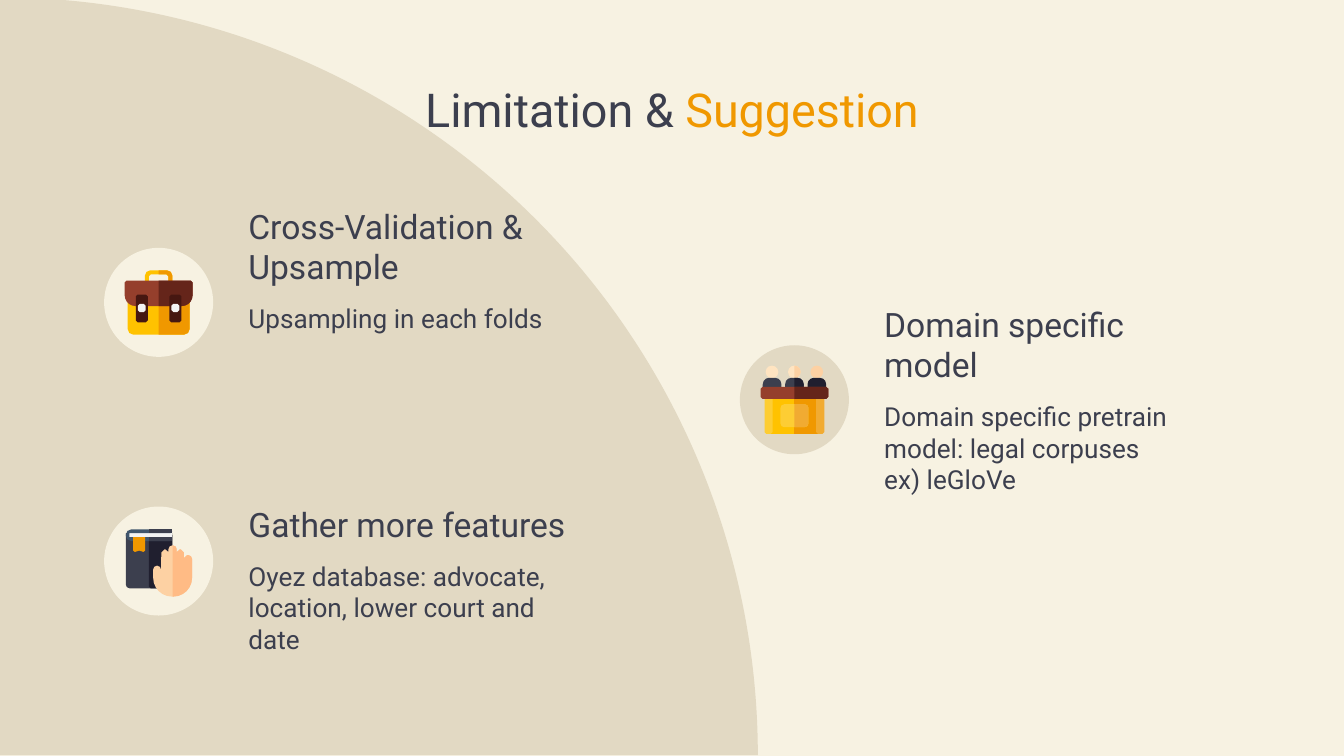
"""Build the Limitation & Suggestion slide."""
from math import dist
from typing import NamedTuple

from pptx import Presentation
from pptx.dml.color import RGBColor
from pptx.enum.shapes import MSO_SHAPE
from pptx.enum.text import MSO_ANCHOR, PP_ALIGN
from pptx.util import Pt

CREAM = RGBColor(0xF7, 0xF2, 0xE2)
SAND = RGBColor(0xE2, 0xD9, 0xC3)
SLATE = RGBColor(0x3C, 0x3F, 0x4E)
INK = RGBColor(0x20, 0x1F, 0x2F)
STEEL = RGBColor(0x40, 0x56, 0x6D)
GOLD = RGBColor(0xFF, 0xC2, 0x00)
AMBER = RGBColor(0xF0, 0x98, 0x00)
LEMON = RGBColor(0xFD, 0xCD, 0x34)
HONEY = RGBColor(0xF1, 0xAB, 0x32)
BRICK = RGBColor(0x95, 0x3F, 0x2C)
RUST = RGBColor(0x65, 0x25, 0x1A)
COCOA = RGBColor(0x46, 0x17, 0x11)
WHITE = RGBColor(0xF3, 0xF3, 0xF3)
PALE = RGBColor(0xFF, 0xE4, 0xC1)
PEACH = RGBColor(0xFD, 0xD1, 0xA3)
TAN = RGBColor(0xFF, 0xBB, 0x85)
FONT = "Roboto"
DISC = 58.4


class Knot(NamedTuple):
    x: float
    y: float
    r: float = 0


class Part(NamedTuple):
    color: RGBColor
    knots: list[Knot]


class Topic(NamedTuple):
    x: float
    y: float
    wide: float
    head: str
    lines: list[str]
    disc: RGBColor
    mid: float
    icon: list[Part]


def box(x: float, y: float, w: float, h: float, top: float = 0, low: float = 0) -> list[Knot]:
    return [Knot(x, y, top), Knot(x + w, y, top), Knot(x + w, y + h, low), Knot(x, y + h, low)]


def shift(knots: list[Knot], dx: float) -> list[Knot]:
    return [Knot(k.x + dx, k.y, k.r) for k in knots]


def half(chain: list[Knot]) -> list[Knot]:
    return [Knot(0, chain[0].y), *chain, Knot(0, chain[-1].y)]


def pair(left: RGBColor, right: RGBColor, chain: list[Knot]) -> list[Part]:
    twin = [Knot(-k.x, k.y, k.r) for k in reversed(chain)]
    return [Part(left, chain + twin), Part(right, half(chain))]


def side(x: float, y: float, h: float, top: float = 0, low: float = 0) -> list[Knot]:
    return [Knot(x, y, top), Knot(x, y + h, low)]


def case() -> list[Part]:
    grip = [Knot(7.4, -17.2, 3), Knot(7.4, -9.3), Knot(5.2, -9.3), Knot(5.2, -15, 1)]
    parts = pair(GOLD, AMBER, side(16.6, -2, 19.3, 0, 3))
    parts += pair(GOLD, AMBER, grip)
    parts += pair(BRICK, RUST, side(18.2, -11.7, 13.7, 1, 5.8))
    for x in (9, -9):
        parts.append(Part(COCOA, box(x - 3.2, -4.2, 6.4, 14.9, 1, 1)))
        parts.append(Part(WHITE, box(x - 2.1, 0.8, 4.2, 4.4, 1, 1)))
    return parts


def book() -> list[Part]:
    band = [Knot(-17.6, -17, 3), Knot(7.3, -17, 1), Knot(7.3, -14.9, 1),
            Knot(-15.6, -14.9), Knot(-15.6, -12.8), Knot(7.3, -12.8, 1),
            Knot(7.3, -10.7, 1), Knot(-17.6, -10.7, 3)]
    mark = [Knot(-13.7, -12.8), Knot(-7.2, -12.8), Knot(-7.2, -4.6, 1),
            Knot(-10.4, -5.6), Knot(-13.7, -4.6, 1)]
    right = [Knot(2.2, -8.4, 2), Knot(2.2, -4.7), Knot(2.4, -6.3, 1.5), Knot(6, -6.3, 1.7),
             Knot(6, -1.5), Knot(6.2, -3.2, 1.6), Knot(10.4, -3.2, 2), Knot(10.4, 19, 10)]
    left = [Knot(-10.4, 19, 10), Knot(-10.4, 2.5, 2), Knot(-6.2, 2.5, 2), Knot(-6.2, 4.8),
            Knot(-6, -6.3, 1.7), Knot(-2.4, -6.3, 1.5), Knot(-2.2, -4.7), Knot(-2.2, -8.4, 2)]
    return [
        Part(SLATE, box(-17.6, -15, 24.9, 29.6, 0, 2)),
        Part(INK, box(-5.3, -14, 12.6, 28.6, 0, 1)),
        Part(PEACH, shift(right + left, 7.5)),
        Part(TAN, shift(half(right), 7.5)),
        Part(WHITE, box(-17, -16.3, 24.3, 4.5)),
        Part(STEEL, band),
        Part(SLATE, box(-5.3, -17, 12.6, 2.1)),
        Part(SLATE, box(-5.3, -12.8, 12.6, 2.1)),
        Part(AMBER, mark),
    ]


def court() -> list[Part]:
    parts = pair(GOLD, AMBER, side(14.2, -2.6, 20.9))
    for x, skin, suit in ((-12, PALE, SLATE), (12, PEACH, INK)):
        parts.append(Part(skin, box(x - 3.4, -18.3, 6.8, 6.8, 3.4, 3.4)))
        parts.append(Part(suit, box(x - 5, -11.8, 10, 6.9, 3.5)))
    parts += pair(PALE, PEACH, side(3.4, -18.3, 6.8, 3.4, 3.4))
    parts += pair(SLATE, INK, side(5, -11.8, 6.9, 3.5))
    parts += pair(LEMON, HONEY, side(7.5, 2.4, 12.3, 2, 2))
    parts.append(Part(LEMON, box(-16, -0.5, 4.3, 18.8, 0, 1)))
    parts.append(Part(HONEY, box(11.7, -0.5, 4.3, 18.8, 0, 1)))
    return parts + pair(BRICK, RUST, side(18.1, -6.9, 6.4, 1, 1))


def paint(shape, color: RGBColor) -> None:
    shape.shadow.inherit = False
    shape.fill.solid()
    shape.fill.fore_color.rgb = color
    shape.line.fill.background()


def toward(a: Knot, b: Knot) -> tuple[float, float]:
    t = a.r / dist(a[:2], b[:2])
    return a.x + (b.x - a.x) * t, a.y + (b.y - a.y) * t


def trace(knots: list[Knot]) -> list[tuple[float, float]]:
    dots = []
    for i, k in enumerate(knots):
        if not k.r:
            dots.append((k.x, k.y))
            continue
        a, d = toward(k, knots[i - 1]), toward(k, knots[(i + 1) % len(knots)])
        b, c = [(p[0] + (k.x - p[0]) * 0.55, p[1] + (k.y - p[1]) * 0.55) for p in (a, d)]
        steps = min(6, round(k.r * 0.8))
        for n in range(steps + 1):
            t = n / steps
            mix = ((1 - t) ** 3, 3 * t * (1 - t) ** 2, 3 * t * t * (1 - t), t ** 3)
            dots.append(tuple(sum(m * p[j] for m, p in zip(mix, (a, b, c, d))) for j in (0, 1)))
    return dots


def draw(shapes, part: Part, x: float, y: float) -> None:
    dots = [(Pt(x + u), Pt(y + v)) for u, v in trace(part.knots)]
    pen = shapes.build_freeform(*dots[0])
    pen.add_line_segments(dots[1:])
    paint(pen.convert_to_shape(), part.color)


def write(shapes, x: float, y: float, w: float, h: float, lines: list[str],
          size: float, anchor=MSO_ANCHOR.TOP):
    frame = shapes.add_textbox(Pt(x), Pt(y), Pt(w), Pt(h)).text_frame
    frame.word_wrap = True
    frame.vertical_anchor = anchor
    frame.margin_left = frame.margin_right = frame.margin_top = frame.margin_bottom = Pt(7.2)
    for i, line in enumerate(lines):
        para = frame.add_paragraph() if i else frame.paragraphs[0]
        para.add_run().text = line
        para.font.name, para.font.size = FONT, Pt(size)
        para.font.color.rgb = SLATE
    return frame


def show(shapes, topic: Topic) -> None:
    write(shapes, topic.x, topic.y, topic.wide, 41.8, [topic.head], 18, MSO_ANCHOR.BOTTOM)
    write(shapes, topic.x, topic.y + 36, 195, 58, topic.lines, 14)
    x = topic.x - 41
    disc = shapes.add_shape(MSO_SHAPE.OVAL, Pt(x - DISC / 2), Pt(topic.mid - DISC / 2),
                            Pt(DISC), Pt(DISC))
    paint(disc, topic.disc)
    for part in topic.icon:
        draw(shapes, part, x, topic.mid)


def main() -> None:
    deck = Presentation()
    deck.slide_width, deck.slide_height = Pt(720), Pt(405)
    slide = deck.slides.add_slide(deck.slide_layouts[6])
    slide.background.fill.solid()
    slide.background.fill.fore_color.rgb = CREAM
    shapes = slide.shapes
    pie = shapes.add_shape(MSO_SHAPE.PIE, Pt(-406), Pt(-1.4), Pt(812), Pt(812))
    pie.adjustments[0], pie.adjustments[1] = 162, 0
    paint(pie, SAND)

    title = write(shapes, 93.6, 32.4, 532.8, 51.8, ["Limitation & "], 25, MSO_ANCHOR.MIDDLE)
    para = title.paragraphs[0]
    para.alignment = PP_ALIGN.CENTER
    word = para.add_run()
    word.text = "Suggestion"
    word.font.color.rgb = AMBER

    for topic in (
        Topic(126, 118.8, 225.4, "Cross-Validation & Upsample",
              ["Upsampling in each folds"], CREAM, 162, case()),
        Topic(126, 257, 195, "Gather more features",
              ["Oyez database: advocate, location, lower court and date"], CREAM, 300.6, book()),
        Topic(466.6, 171.4, 195, "Domain specific model",
              ["Domain specific pretrain model: legal corpuses", "ex) leGloVe"],
              SAND, 214.2, court()),
    ):
        show(shapes, topic)
    deck.save("out.pptx")


if __name__ == "__main__":
    main()
